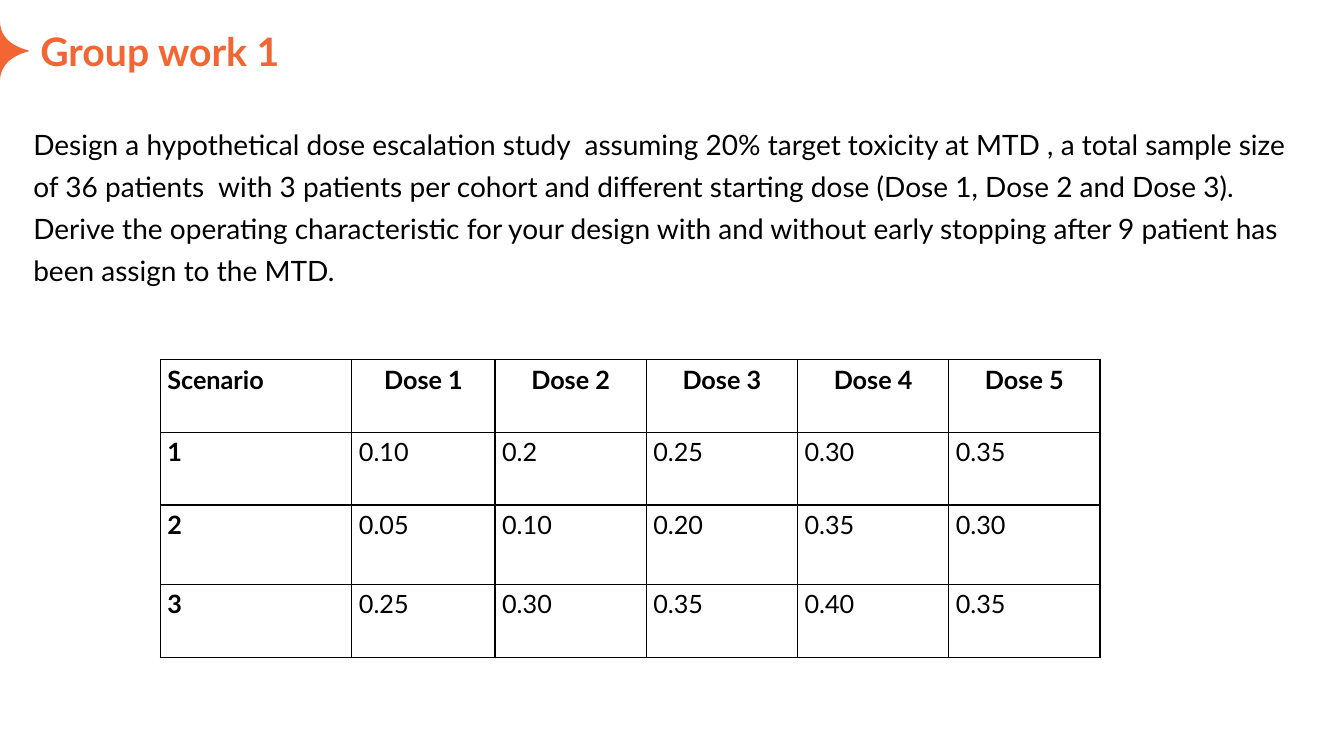
from lxml import etree
from pptx import Presentation
from pptx.dml.color import RGBColor
from pptx.enum.text import MSO_ANCHOR, PP_ALIGN
from pptx.oxml.ns import qn
from pptx.util import Pt

PX = 9144  # 100 px to the inch
ORANGE = RGBColor(0xF3, 0x66, 0x33)
BLACK = RGBColor(0, 0, 0)
WHITE = RGBColor(0xFF, 0xFF, 0xFF)
LEFT, CENTER = PP_ALIGN.LEFT, PP_ALIGN.CENTER
TOP, BOTTOM = MSO_ANCHOR.TOP, MSO_ANCHOR.BOTTOM


def write(frame, text, size, color, bold, **paragraph_format):
    paragraph = frame.paragraphs[0]
    for name, value in paragraph_format.items():
        setattr(paragraph, name, value)
    run = paragraph.add_run()
    run.text = text
    for name, value in {"name": "Lato", "size": Pt(size), "bold": bold}.items():
        setattr(run.font, name, value)
    run.font.color.rgb = color


def add_text_box(slide, box, margin, anchor):
    frame = slide.shapes.add_textbox(*[length * PX for length in box]).text_frame
    frame.word_wrap = True
    frame.vertical_anchor = anchor
    for side in ("left", "top", "right", "bottom"):
        setattr(frame, f"margin_{side}", margin * PX)
    return frame


presentation = Presentation()
presentation.slide_width = 1333 * PX
presentation.slide_height = 750 * PX
slide = presentation.slides.add_slide(presentation.slide_layouts[6])

# Half star at the left edge, its curves sampled as short lines
STAR_CURVES = [
    [(0, 20), (0, 36), (10, 45), (28, 50)],
    [(28, 50), (29, 50), (29, 51), (28, 51)],
    [(28, 51), (10, 56), (0, 66), (0, 81)],
]
STEPS = 16
star_points = []
for curve in STAR_CURVES:
    for step in range(1, STEPS + 1):
        t = step / STEPS
        weights = ((1 - t) ** 3, 3 * t * (1 - t) ** 2, 3 * t ** 2 * (1 - t), t ** 3)
        star_points.append(tuple(
            sum(weight * point[axis] for weight, point in zip(weights, curve)) * PX
            for axis in (0, 1)))
builder = slide.shapes.build_freeform(0, 20 * PX)
builder.add_line_segments(star_points, close=True)
star = builder.convert_to_shape()
star.shadow.inherit = False
star.fill.solid()
star.fill.fore_color.rgb = ORANGE
star.line.fill.background()

# Task and title
task = add_text_box(slide, (29, 114, 1264, 203), 4, TOP)
write(task,
      "Design a hypothetical dose escalation study  assuming 20% target toxicity at MTD , "
      "a total sample size of 36 patients  with 3 patients per cohort and different starting "
      "dose (Dose 1, Dose 2 and Dose 3). Derive the operating characteristic for your design "
      "with and without early stopping after 9 patient has been assign to the MTD.",
      20, BLACK, False, line_spacing=1.25, space_after=Pt(3))
title = add_text_box(slide, (40, 27, 1253, 47), 0, BOTTOM)
write(title, "Group work 1", 28, ORANGE, True)

# Toxicity scenarios
SCENARIOS = [
    ["Scenario"] + [f"Dose {dose}" for dose in range(1, 6)],
    ["1", "0.10", "0.2", "0.25", "0.30", "0.35"],
    ["2", "0.05", "0.10", "0.20", "0.35", "0.30"],
    ["3", "0.25", "0.30", "0.35", "0.40", "0.35"],
]
COLUMN_WIDTHS = [190, 142, 150, 150, 150, 150]
ROW_HEIGHTS = [72, 72, 79, 72]
CELL_MARGINS = {"margin_left": 7 * PX, "margin_right": 7 * PX,
                "margin_top": 0, "margin_bottom": 0}
table = slide.shapes.add_table(
    len(ROW_HEIGHTS), len(COLUMN_WIDTHS), 159 * PX, 357 * PX,
    sum(COLUMN_WIDTHS) * PX, sum(ROW_HEIGHTS) * PX).table
table.first_row = False
table.horz_banding = False
for column, width in zip(table.columns, COLUMN_WIDTHS):
    column.width = width * PX
for row, height in zip(table.rows, ROW_HEIGHTS):
    row.height = height * PX

for row_index, values in enumerate(SCENARIOS):
    for column_index, value in enumerate(values):
        cell = table.cell(row_index, column_index)
        for name, margin in CELL_MARGINS.items():
            setattr(cell, name, margin)
        is_header = row_index == 0
        is_label = column_index == 0
        write(cell.text_frame, value, 18, BLACK, is_header or is_label,
              alignment=CENTER if is_header and not is_label else LEFT,
              line_spacing=1.15, space_after=Pt(8))
        # Borders come before the fill in the cell properties
        properties = cell._tc.get_or_add_tcPr()
        for edge in ("a:lnL", "a:lnR", "a:lnT", "a:lnB"):
            border = etree.SubElement(properties, qn(edge), w=str(Pt(1)))
            fill = etree.SubElement(border, qn("a:solidFill"))
            etree.SubElement(fill, qn("a:srgbClr"), val=str(BLACK))
        cell.fill.solid()
        cell.fill.fore_color.rgb = WHITE

presentation.save("out.pptx")
